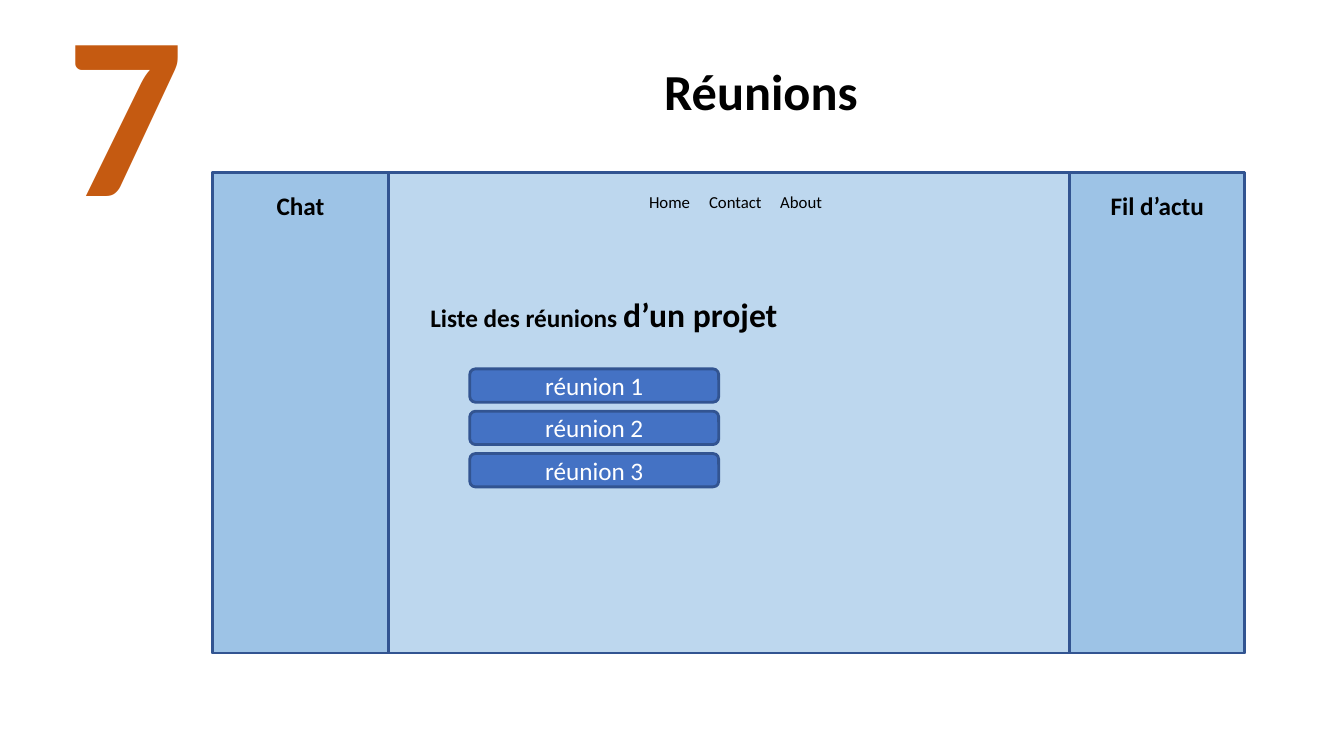
"""Build the "Réunions" page mock-up slide."""
from dataclasses import dataclass

from pptx import Presentation
from pptx.dml.color import RGBColor as Rgb
from pptx.enum.shapes import MSO_SHAPE as Preset
from pptx.enum.text import MSO_ANCHOR as Anchor, MSO_AUTO_SIZE as AutoSize, PP_ALIGN as Align
from pptx.util import Pt


@dataclass(frozen=True)
class Theme:
    """Colours, type sizes and line weight of the slide."""
    font: str = "Calibri"
    ink: str = "000000"
    light: str = "FFFFFF"
    accent: str = "C55A11"
    page: str = "BDD7EE"
    sidebar: str = "9DC3E6"
    button: str = "4472C4"
    outline: str = "325491"
    outline_width: float = 2
    number_size: float = 166
    title_size: float = 36
    project_size: float = 24
    body_size: float = 18
    nav_size: float = 12


THEME = Theme()


def apply(target, values):
    """Set every attribute named in values on target."""
    for name, value in values.items():
        setattr(target, name, value)


def place(part, box):
    """Move a part to a left, top, width, height box in points."""
    apply(part, dict(zip(("left", "top", "width", "height"), map(Pt, box))))


def write(part, runs, color=THEME.ink, bold=True, align=Align.CENTER, anchor=Anchor.TOP, side=7.2):
    """Fill a part with one paragraph of (text, size) runs."""
    frame = part.text_frame
    apply(frame, {"word_wrap": True, "auto_size": AutoSize.NONE, "vertical_anchor": anchor,
                  "margin_left": Pt(side), "margin_right": Pt(side),
                  "margin_top": Pt(3.6), "margin_bottom": Pt(3.6)})
    paragraph = frame.paragraphs[0]
    paragraph.alignment = align
    for text, size in runs:
        run = paragraph.add_run()
        run.text = text
        apply(run.font, {"name": THEME.font, "size": Pt(size), "bold": bold})
        run.font.color.rgb = Rgb.from_string(color)


def add_label(slide, box, runs, **style):
    """Add a text box holding the given runs."""
    write(slide.shapes.add_textbox(*map(Pt, box)), runs, **style)


def add_panel(slide, box, fill, preset=Preset.RECTANGLE):
    """Add an outlined, filled shape and return it."""
    panel = slide.shapes.add_shape(preset, *map(Pt, box))
    panel.shadow.inherit = False
    panel.fill.solid()
    panel.fill.fore_color.rgb = Rgb.from_string(fill)
    panel.line.color.rgb = Rgb.from_string(THEME.outline)
    panel.line.width = Pt(THEME.outline_width)
    return panel


def add_header(slide, box, number, title):
    """Place the step number and the title placeholder."""
    left, top, width, height = box
    add_label(slide, (left, top - 68.4, 87.8, 206.6), [(number, THEME.number_size)],
              color=THEME.accent, align=Align.LEFT)
    title_left = left + 272.2
    place(slide.shapes.title, (title_left, top, left + width - title_left, height))
    write(slide.shapes.title, [(title, THEME.title_size)])


def add_sidebar(slide, box, heading):
    """Draw a side column with its centred heading."""
    left, top, width, _ = box
    add_panel(slide, box, THEME.sidebar)
    add_label(slide, (left, top + 9.4, width, 28.8), [(heading, THEME.body_size)])


def add_navigation(slide, box, entries):
    """Spread the menu entries evenly across the box."""
    left, top, width, height = box
    step = width / len(entries)
    for index, entry in enumerate(entries):
        add_label(slide, (left + index * step, top, step, height),
                  [(entry, THEME.nav_size)], bold=False, side=0)


def add_meetings(slide, box, meetings):
    """Stack one rounded button per meeting at equal gaps."""
    left, top, width, height = box
    button_height = 23.8
    step = (height - button_height) / (len(meetings) - 1)
    for index, meeting in enumerate(meetings):
        button = add_panel(slide, (left, top + index * step, width, button_height),
                           THEME.button, Preset.ROUNDED_RECTANGLE)
        write(button, [(meeting, THEME.body_size)], color=THEME.light, bold=False,
              anchor=Anchor.MIDDLE)


def add_page(slide, box):
    """Draw the page with its two sidebars, menu and meeting list."""
    left, top, width, height = box
    sidebar_width = 125.3
    main_left = left + sidebar_width
    add_panel(slide, box, THEME.page)
    add_sidebar(slide, (left + width - sidebar_width, top, sidebar_width, height), "Fil d’actu")
    add_sidebar(slide, (left, top, sidebar_width, height), "Chat")
    add_navigation(slide, (main_left + 177.5, top + 10.1, 141, 21.6), ("Home", "Contact", "About"))
    add_label(slide, (main_left + 23, top + 83.5, 432, 36),
              [("Liste des réunions ", THEME.body_size), ("d’un projet", THEME.project_size)],
              align=Align.LEFT)
    add_meetings(slide, (main_left + 58.3, top + 140.4, 177.8, 84.3),
                 [f"réunion {number}" for number in range(1, 4)])


def main():
    """Assemble and save the presentation."""
    deck = Presentation()
    apply(deck, {"slide_width": Pt(960), "slide_height": Pt(540)})
    slide = deck.slides.add_slide(deck.slide_layouts.get_by_name("Title Only"))
    add_page(slide, (152, 123.1, 737.3, 343.4))
    add_header(slide, (40.3, 39.6, 734.4, 50.4), "7", "Réunions")
    deck.save("out.pptx")


main()
